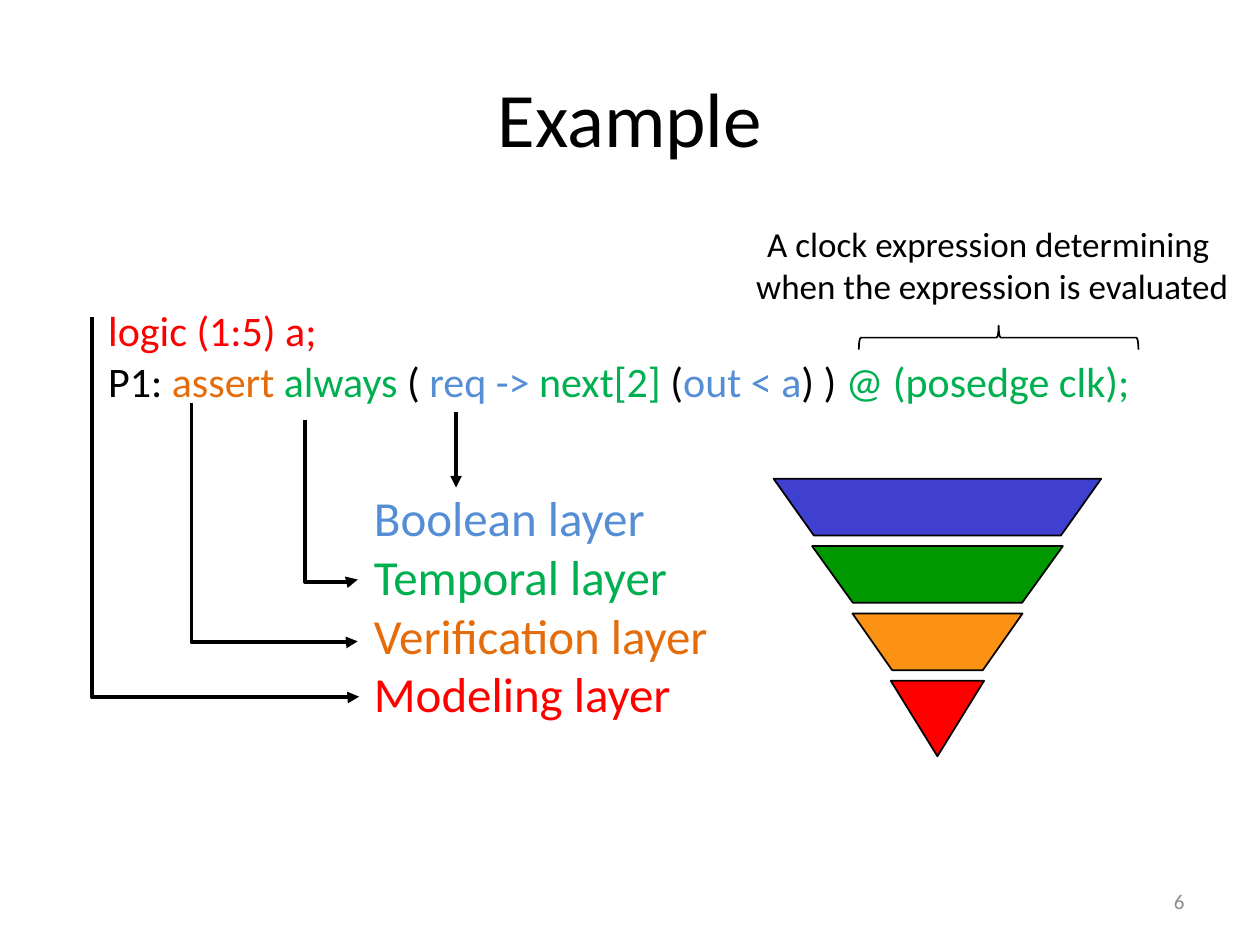
import pptx
import pptx.util
import pptx.dml.color
import pptx.enum.shapes
import pptx.enum.text
import pptx.oxml
import pptx.oxml.ns

Pt = pptx.util.Pt
RGB = pptx.dml.color.RGBColor
SHAPE = pptx.enum.shapes.MSO_SHAPE
LINK = pptx.enum.shapes.MSO_CONNECTOR
ALIGN = pptx.enum.text.PP_ALIGN
ANCHOR = pptx.enum.text.MSO_ANCHOR
qn = pptx.oxml.ns.qn

BLACK = RGB(0x00, 0x00, 0x00)
GREY = RGB(0x8C, 0x8C, 0x8C)
BOOLEAN = RGB(0x55, 0x8E, 0xD5)
TEMPORAL = RGB(0x00, 0xB0, 0x50)
VERIFICATION = RGB(0xE4, 0x6C, 0x0A)
MODELING = RGB(0xFF, 0x00, 0x00)
FUNNEL_BLUE = RGB(0x40, 0x40, 0xD0)
FUNNEL_GREEN = RGB(0x00, 0x98, 0x00)
FUNNEL_ORANGE = RGB(0xFB, 0x92, 0x14)

DECLARATION = [("logic (1:5) a;", MODELING)]
ASSERTION = [
    ("P1: ", BLACK), ("assert ", VERIFICATION), ("always", TEMPORAL),
    (" ( ", BLACK), ("req -> ", BOOLEAN), ("next[2]", TEMPORAL),
    (" (", BLACK), ("out < a", BOOLEAN), (") ) ", BLACK),
    ("@ (posedge clk);", TEMPORAL),
]
LAYERS = [
    ("Boolean layer", BOOLEAN), ("Temporal layer", TEMPORAL),
    ("Verification layer", VERIFICATION), ("Modeling layer", MODELING),
]


def add_run(paragraph, text, size, color):
    """Append one formatted run."""
    run = paragraph.add_run()
    run.text = text
    run.font.size = Pt(size)
    run.font.name = "Calibri"
    run.font.color.rgb = color


def add_text(slide, box, lines, size, align=ALIGN.LEFT, wrap=True, level=0, anchor=ANCHOR.TOP):
    """Place a text box with one paragraph for each list of (text, color) runs."""
    frame = slide.shapes.add_textbox(*map(Pt, box)).text_frame
    frame.word_wrap = wrap
    frame.vertical_anchor = anchor
    for index, runs in enumerate(lines):
        paragraph = frame.add_paragraph() if index else frame.paragraphs[0]
        paragraph.alignment = align
        paragraph.level = level
        for text, color in runs:
            add_run(paragraph, text, size, color)
    return frame


def add_title(slide, box):
    """Move and format the title placeholder."""
    title = slide.shapes.title
    title.left, title.top, title.width, title.height = map(Pt, box)
    title.text_frame.vertical_anchor = ANCHOR.MIDDLE
    paragraph = title.text_frame.paragraphs[0]
    paragraph.alignment = ALIGN.CENTER
    add_run(paragraph, "Example", 44, BLACK)


def add_arrow(slide, kind, start, end):
    """Draw a black arrow from start to end and return it."""
    arrow = slide.shapes.add_connector(kind, *map(Pt, start + end))
    arrow.line.color.rgb = BLACK
    arrow.line.width = Pt(2.25)
    head = pptx.oxml.parse_xml(f'<a:tailEnd {pptx.oxml.ns.nsdecls("a")} type="triangle"/>')
    arrow.line._get_or_add_ln().append(head)
    properties = arrow._element.spPr
    properties.append(properties.makeelement(qn("a:effectLst"), {}))
    return arrow


def add_elbow(slide, start, end, bend):
    """Draw an arrow that runs down, then right, bending at the given share of its drop."""
    (left, top), (right, bottom) = start, end
    center_x, center_y = (left + right) / 2, (top + bottom) / 2
    half_run, half_drop = (right - left) / 2, (bottom - top) / 2
    arrow = add_arrow(slide, LINK.ELBOW,
                      (center_x + half_drop, center_y - half_run),
                      (center_x - half_drop, center_y + half_run))
    properties = arrow._element.spPr
    properties.find(qn("a:xfrm")).set("rot", "16200000")
    guides = properties.find(qn("a:prstGeom")).get_or_add_avLst()
    guide = guides.makeelement(qn("a:gd"), {"name": "adj1", "fmla": f"val {round(bend * 100000)}"})
    guides.append(guide)


def add_layers(slide, box):
    """List the layers and lead arrows to them from the code above."""
    left, top, width, height = box
    add_text(slide, box, [[layer] for layer in LAYERS], 28, wrap=False)
    add_elbow(slide, (left - 97.2, top - 44.6), (left - 2.2, top + 91.5), 1.004)
    add_elbow(slide, (left - 32.4, top - 35.2), (left - 2.2, top + 56.2), 1.014)
    add_elbow(slide, (left - 154, top - 93.6), (left - 1.4, top + 123.1), 1.002)
    add_arrow(slide, LINK.STRAIGHT, (left + 54, top - 39.6), (left + 54, top + 3.6))


def outline(shape):
    """Give a shape a thin black line and no shadow."""
    shape.shadow.inherit = False
    shape.line.color.rgb = BLACK
    shape.line.width = Pt(1)


def add_funnel(slide, box):
    """Stack the narrowing bands of the funnel, centred in the box."""
    left, top, width, height = box
    pitch, band_height = 38.5, 32.4
    bands = [(width, 0.71, FUNNEL_BLUE), (143.3, 0.72, FUNNEL_GREEN),
             (97.2, 0.7, FUNNEL_ORANGE), (53.3, None, MODELING)]
    for index, (band_width, slant, color) in enumerate(bands):
        offset = index * pitch
        band = slide.shapes.add_shape(
            SHAPE.TRAPEZOID if slant else SHAPE.ISOSCELES_TRIANGLE,
            Pt(left + (width - band_width) / 2), Pt(top + offset),
            Pt(band_width), Pt(band_height if slant else height - offset))
        if slant:
            band.adjustments[0] = slant
        band._element.spPr.find(qn("a:xfrm")).set("flipV", "1")
        band.fill.solid()
        band.fill.fore_color.rgb = color
        outline(band)


def add_clock_note(slide, box):
    """Write the clock note with a brace over the clock expression below it."""
    left, top, width, height = box
    note = add_text(slide, box, [[("A clock expression determining ", BLACK)]], 20, ALIGN.CENTER)
    paragraph = note.paragraphs[0]
    paragraph.add_line_break()
    add_run(paragraph, "when the expression is evaluated", 20, BLACK)
    brace = slide.shapes.add_shape(SHAPE.RIGHT_BRACE, Pt(left + 144), Pt(top - 10.8),
                                   Pt(13.7), Pt(159.8))
    brace.rotation = 270
    brace.fill.background()
    outline(brace)


def main():
    """Build and save the slide."""
    deck = pptx.Presentation()
    deck.slide_width, deck.slide_height = Pt(720), Pt(540)
    slide = deck.slides.add_slide(deck.slide_layouts.get_by_name("Title Only"))
    add_title(slide, (36, 21.6, 648, 90))
    add_text(slide, (18.7, 170.6, 654.5, 65.5), [DECLARATION, ASSERTION], 24, level=1)
    add_layers(slide, (206.6, 275, 207.4, 143.3))
    add_funnel(slide, (442.1, 273.6, 187.2, 158.6))
    add_clock_note(slide, (419.8, 123.8, 294.5, 55.4))
    add_text(slide, (516.2, 500.4, 167.8, 28.8), [[("6", GREY)]], 12, ALIGN.RIGHT,
             anchor=ANCHOR.MIDDLE)
    deck.save("out.pptx")


if __name__ == "__main__":
    main()
